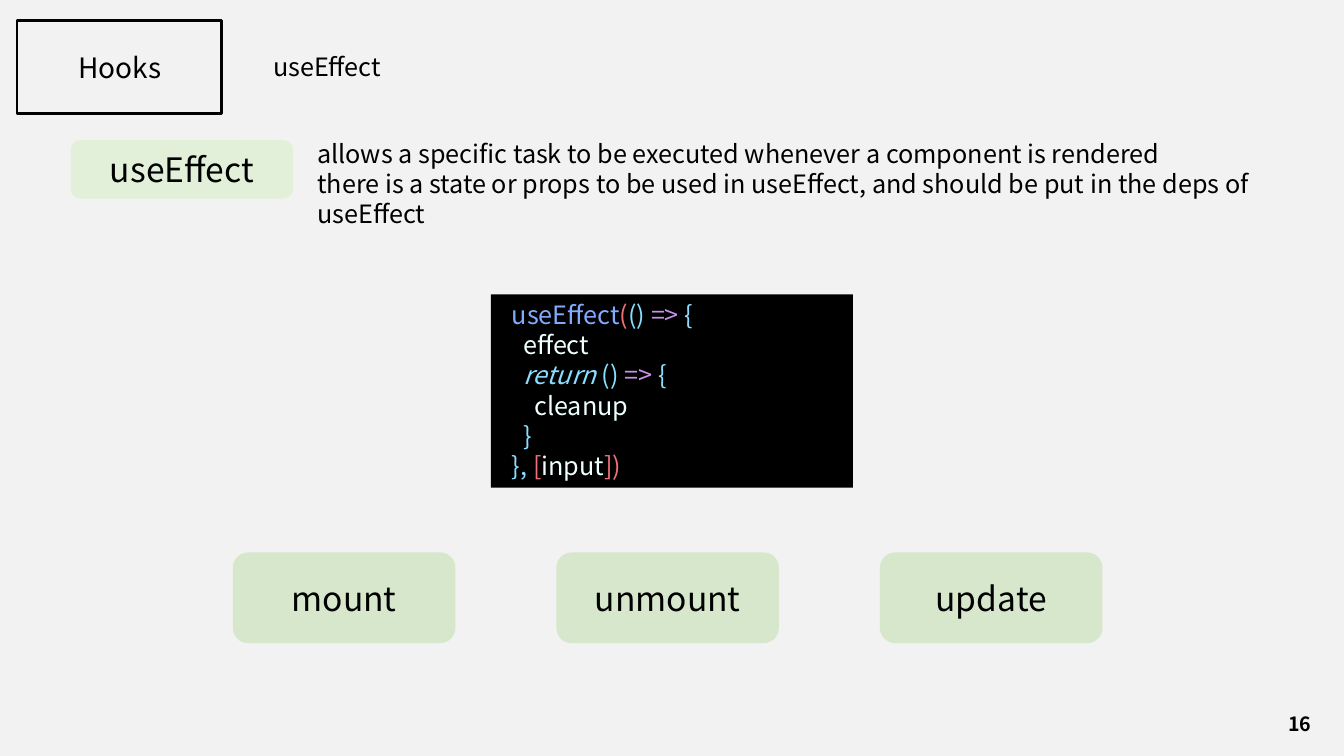
from dataclasses import dataclass

from lxml import etree
from pptx import Presentation
from pptx.dml.color import RGBColor
from pptx.enum.shapes import MSO_SHAPE
from pptx.enum.text import MSO_ANCHOR, PP_ALIGN
from pptx.oxml.ns import qn
from pptx.util import Pt

FONT = "Noto Sans CJK KR"
COLORS = {
    "background": "F2F2F2",
    "black": "000000",
    "topic": "E2F0D9",
    "phase": "C5E0B4",
    "function": "82AAFF",
    "bracket": "F07178",
    "punctuation": "89DDFF",
    "arrow": "C792EA",
    "plain": "EEFFFF",
}


@dataclass(frozen=True)
class Box:
    left: float
    top: float
    width: float
    height: float

    def lengths(self) -> tuple:
        return Pt(self.left), Pt(self.top), Pt(self.width), Pt(self.height)


@dataclass(frozen=True)
class Span:
    text: str
    color: str = "black"
    bold: bool = False
    italic: bool = False


@dataclass(frozen=True)
class Line:
    spans: list[Span]
    indent: float = 0


def rgb(name: str) -> RGBColor:
    return RGBColor.from_string(COLORS[name])


def write(shape, lines: list[Line], size: float, align=PP_ALIGN.LEFT, anchor=MSO_ANCHOR.TOP) -> None:
    frame = shape.text_frame
    frame.word_wrap = True
    frame.vertical_anchor = anchor
    for index, line in enumerate(lines):
        paragraph = frame.add_paragraph() if index else frame.paragraphs[0]
        paragraph.alignment = align
        if line.indent:
            paragraph._p.get_or_add_pPr().set("marL", str(Pt(line.indent)))
        for span in line.spans:
            run = paragraph.add_run()
            run.text = span.text
            font = run.font
            font.name, font.size = FONT, Pt(size)
            font.bold, font.italic = span.bold, span.italic
            font.color.rgb = rgb(span.color)
            east_asian = etree.SubElement(font._element, qn("a:ea"))
            east_asian.set("typeface", FONT)


def add_text(slide, box: Box, lines: list[Line], size: float, **layout) -> None:
    write(slide.shapes.add_textbox(*box.lengths()), lines, size, **layout)


def add_block(slide, box: Box, kind: MSO_SHAPE, fill: str | None, line: str | None = None):
    block = slide.shapes.add_shape(kind, *box.lengths())
    block.shadow.inherit = False
    if fill:
        block.fill.solid()
        block.fill.fore_color.rgb = rgb(fill)
    else:
        block.fill.background()
    if line:
        block.line.color.rgb = rgb(line)
        block.line.width = Pt(2)
    else:
        block.line.fill.background()
    return block


def add_label(slide, box: Box, text: str, fill: str, opacity: int = 100) -> None:
    label = add_block(slide, box, MSO_SHAPE.ROUNDED_RECTANGLE, fill)
    if opacity < 100:
        color = label._element.spPr.find(qn("a:solidFill"))[0]
        etree.SubElement(color, qn("a:alpha")).set("val", str(opacity * 1000))
    write(label, [Line([Span(text)])], 24, **CENTERED)


CENTERED = {"align": PP_ALIGN.CENTER, "anchor": MSO_ANCHOR.MIDDLE}
LABEL_WIDTH = 159
PHASE_LEFT, PHASE_STEP = 166.3, 231.1
PHASES = ["mount", "unmount", "update"]
CODE_INDENT = 8
DESCRIPTION = [
    "allows a specific task to be executed whenever a component is rendered",
    "there is a state or props to be used in useEffect, and should be put in the deps of useEffect",
]
OPEN_ARROW = [Span("()\u00a0", "punctuation"), Span("=>\u00a0", "arrow"), Span("{", "punctuation")]
CODE = [
    (1, [Span("useEffect", "function"), Span("(", "bracket"), *OPEN_ARROW]),
    (2, [Span("effect", "plain")]),
    (2, [Span("return\u00a0", "punctuation", italic=True), *OPEN_ARROW]),
    (3, [Span("cleanup", "plain")]),
    (2, [Span("}", "punctuation")]),
    (1, [Span("},", "punctuation"), Span("\u00a0[", "bracket"), Span("input", "plain"), Span("])", "bracket")]),
]

presentation = Presentation()
presentation.slide_width, presentation.slide_height = Pt(960), Pt(540)
slide = presentation.slides.add_slide(presentation.slide_layouts[6])
slide.background.fill.solid()
slide.background.fill.fore_color.rgb = rgb("background")

add_text(slide, Box(188, 33.1, 262, 29), [Line([Span("useEffect")])], 18)
add_text(slide, Box(911, 502.5, 35, 29), [Line([Span("16", bold=True)])], 14, **CENTERED)
add_label(slide, Box(50.4, 100, LABEL_WIDTH, 41.8), "useEffect", "topic")
add_text(slide, Box(219.6, 95, 740.4, 51), [Line([Span(text)]) for text in DESCRIPTION], 18)

code_block = add_block(slide, Box(350.6, 210.2, 258.6, 138.2), MSO_SHAPE.RECTANGLE, "black")
write(code_block, [Line(spans, depth * CODE_INDENT) for depth, spans in CODE], 18)

for index, phase in enumerate(PHASES):
    box = Box(PHASE_LEFT + index * PHASE_STEP, 394.6, LABEL_WIDTH, 64.8)
    add_label(slide, box, phase, "phase", opacity=60)

add_text(slide, Box(16.6, 32.4, 138.2, 31.7), [Line([Span("Hooks")])], 20, **CENTERED)
add_block(slide, Box(12.2, 14.4, 146.2, 67), MSO_SHAPE.RECTANGLE, None, "black")

presentation.save("out.pptx")
